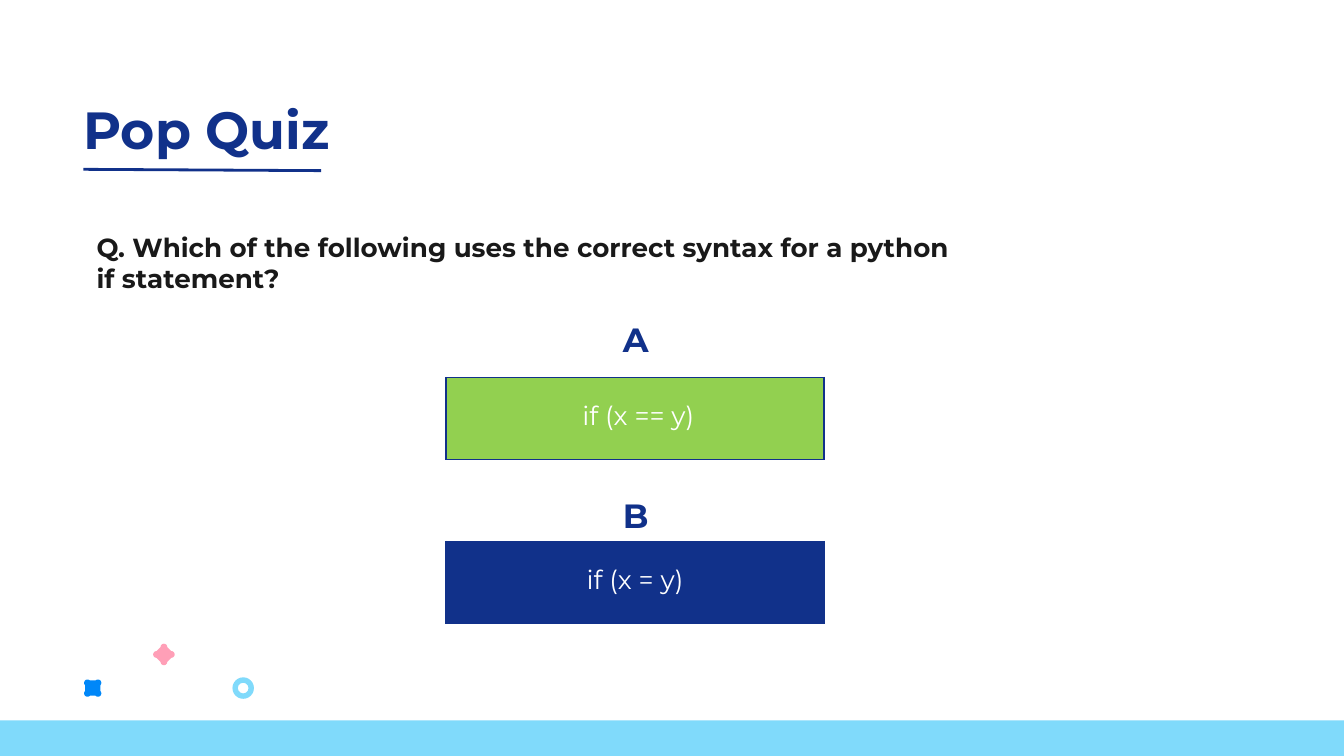
from math import cos, sin, pi
from lxml.etree import SubElement as Sub
from pptx import Presentation
from pptx.dml.color import RGBColor
from pptx.enum.shapes import MSO_CONNECTOR as Line, MSO_SHAPE as Kind
from pptx.enum.text import MSO_ANCHOR as Anchor, PP_ALIGN as Align
from pptx.oxml.ns import qn
from pptx.util import Inches, Pt

NAVY, SKY, INK, WHITE = "11318A", "80DAFB", "191919", "FFFFFF"
TITLE = "Pop Quiz"
QUERY = "Q. Which of the following uses the correct syntax for a python if statement?"
CHOICES = [
    ("A", 2.32, " if (x == y)", 2.81, "92D050"),
    ("B", 3.63, "if (x = y)", 4.03, NAVY),
]
MARKS = [(0.69, 5.12, pi / 4, "0087F8"), (1.22, 4.87, 0, "FF9FB7")]
LEFT, WIDE, HIGH = 3.32, 2.81, 0.61
REACH, ROUND = 0.055, 0.025


def rgb(code):
    """Turn a hex string into a colour."""
    return RGBColor.from_string(code)


def box(*nums):
    """Turn numbers into lengths in inches."""
    return [Inches(n) for n in nums]


def write(frame, text, size, color, bold=True, align=Align.LEFT, space=1.0):
    """Put one styled paragraph in a text frame."""
    frame.word_wrap = True
    para = frame.paragraphs[0]
    para.alignment, para.line_spacing = align, space
    run = para.add_run()
    run.text = text
    look = {"name": "Montserrat", "size": Pt(size), "bold": bold}
    for key, value in look.items():
        setattr(run.font, key, value)
    run.font.color.rgb = rgb(color)


def paint(shape, color):
    """Give a shape a plain fill without line or shadow."""
    shape.shadow.inherit = False
    shape.fill.solid()
    shape.fill.fore_color.rgb = rgb(color)
    shape.line.fill.background()


def add_mark(slide, x, y, turn, color):
    """Draw a cross with four round arms."""
    spots = []
    for arm in range(4):
        base = turn + arm * pi / 2
        for step in range(13):
            bend = base - pi / 2 + step * pi / 12
            spots.append(box(x + REACH * cos(base) + ROUND * cos(bend),
                             y + REACH * sin(base) + ROUND * sin(bend)))
    pen = slide.shapes.build_freeform(*spots[0])
    pen.add_line_segments(spots[1:], close=True)
    paint(pen.convert_to_shape(), color)


def add_choice(slide, name, name_top, code, top, color):
    """Draw an answer letter and its one-cell table."""
    label = slide.shapes.add_textbox(*box(4.43, name_top, 0.6, 0.88))
    write(label.text_frame, name, 18, NAVY, align=Align.CENTER)
    table = slide.shapes.add_table(1, 1, *box(LEFT, top, WIDE, HIGH)).table
    table.first_row = table.horz_banding = False
    cell = table.cell(0, 0)
    props = cell._tc.get_or_add_tcPr()
    for side in ("a:lnL", "a:lnR", "a:lnT", "a:lnB"):
        edge = Sub(props, qn(side), w=str(Pt(1)))
        Sub(Sub(edge, qn("a:solidFill")), qn("a:srgbClr"), val=NAVY)
    cell.fill.solid()
    cell.fill.fore_color.rgb = rgb(color)
    write(cell.text_frame, code, 14, WHITE, False, Align.CENTER, 1.5)


def main():
    """Build the quiz slide."""
    deck = Presentation()
    deck.slide_width = Inches(10)
    deck.slide_height = Inches(10 * 9 / 16)
    slide = deck.slides.add_slide(deck.slide_layouts[5])
    shapes = slide.shapes

    title = shapes.title
    title.left, title.top, title.width, title.height = box(0.52, 0.62, 8.43, 0.63)
    frame = title.text_frame
    for side in ("left", "top", "right", "bottom"):
        setattr(frame, "margin_" + side, Inches(0.1))
    frame.vertical_anchor = Anchor.TOP
    write(frame, TITLE, 28, NAVY)

    rule = shapes.add_connector(Line.STRAIGHT, *box(0.62, 1.26, 2.39, 1.27))
    rule.line.color.rgb, rule.line.width = rgb(NAVY), Pt(1.5)
    Sub(rule._element.spPr, qn("a:effectLst"))

    paint(shapes.add_shape(Kind.RECTANGLE, *box(0, 5.36, 10, 0.27)), SKY)
    ring = shapes.add_shape(Kind.DONUT, *box(1.73, 5.04, 0.16, 0.16))
    ring.adjustments[0] = 0.25
    paint(ring, SKY)
    for mark in MARKS:
        add_mark(slide, *mark)

    query = shapes.add_textbox(*box(0.62, 1.67, 6.73, 0.95))
    write(query.text_frame, QUERY, 14, INK)
    for choice in CHOICES:
        add_choice(slide, *choice)
    deck.save("out.pptx")


if __name__ == "__main__":
    main()
